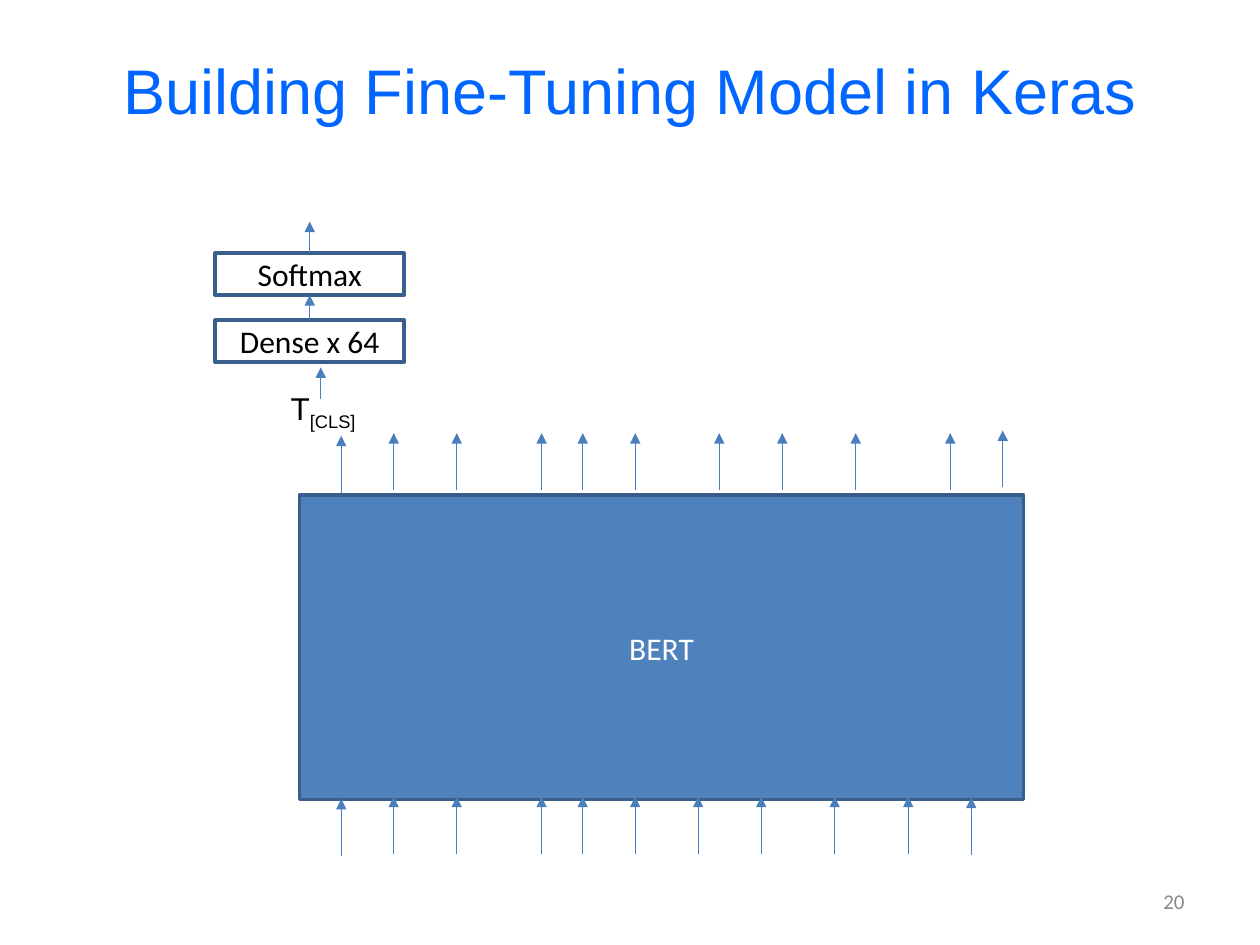
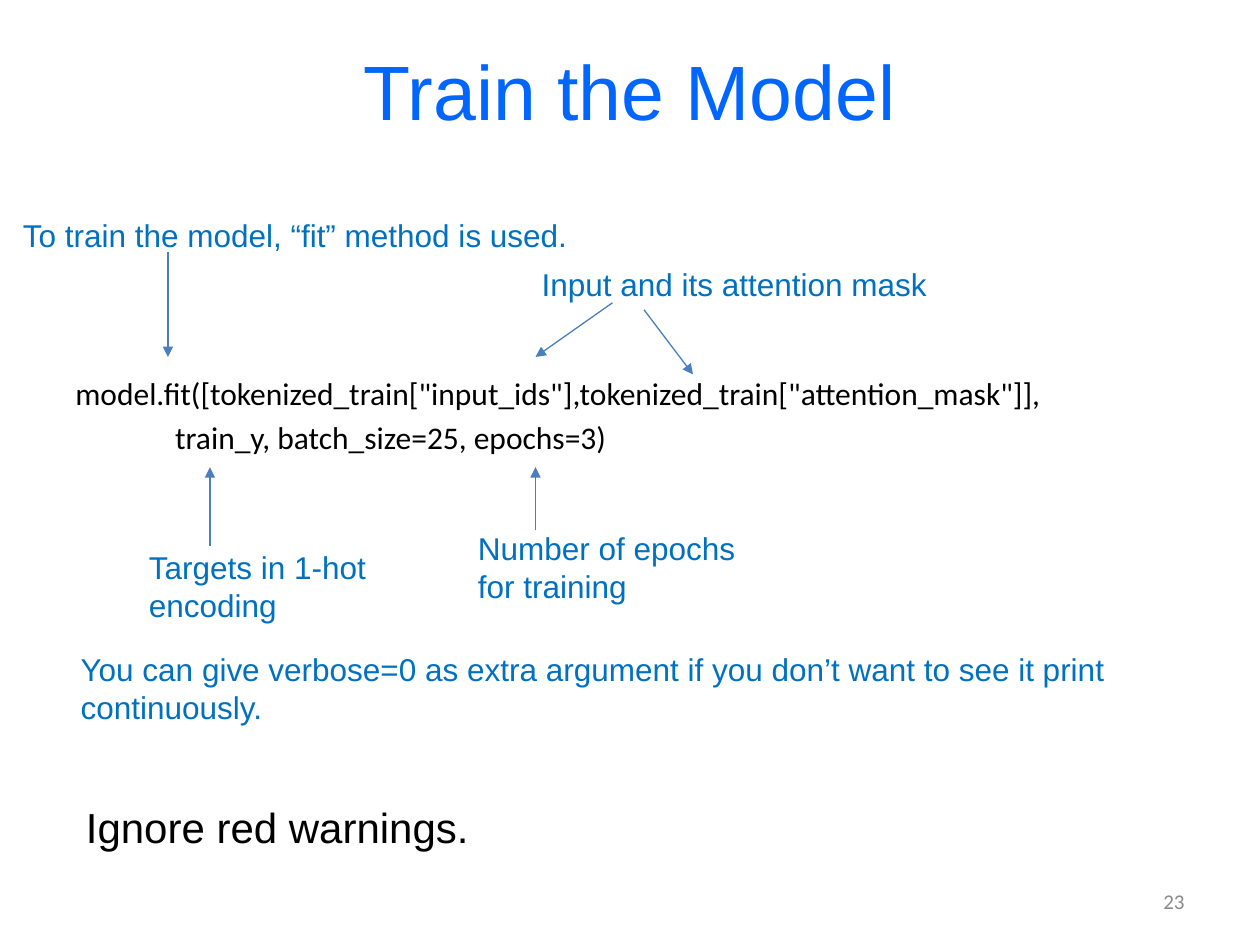
from typing import NamedTuple

from lxml import etree
from pptx import Presentation
from pptx.dml.color import RGBColor
from pptx.enum.shapes import MSO_CONNECTOR, MSO_SHAPE
from pptx.enum.text import MSO_ANCHOR, PP_ALIGN
from pptx.oxml.ns import qn
from pptx.util import Pt

STRAIGHT = MSO_CONNECTOR.STRAIGHT
RECTANGLE = MSO_SHAPE.RECTANGLE
TOP, MIDDLE = MSO_ANCHOR.TOP, MSO_ANCHOR.MIDDLE
LEFT, CENTER, RIGHT = PP_ALIGN.LEFT, PP_ALIGN.CENTER, PP_ALIGN.RIGHT
SIDE_TOP, SIDE_BOTTOM = 0, 2

TITLE_BLUE = "0066FF"
NOTE_BLUE = "0070C0"
ARROW_BLUE = "4B7EBC"
BOX_FILL = "4F81BD"
BOX_LINE = "3A5F8C"
NUMBER_GREY = "898989"
BLACK = "000000"
WHITE = "FFFFFF"
HEADING_FONT = "Arial"
BODY_FONT = "Calibri"


class Style(NamedTuple):
    size: float
    color: str
    font: str = HEADING_FONT
    align: PP_ALIGN = LEFT
    anchor: MSO_ANCHOR = TOP
    wrap: bool = True


class Label(NamedTuple):
    text: str
    left: float
    top: float
    width: float
    height: float
    style: Style


class Box(NamedTuple):
    text: str
    left: float
    top: float
    width: float
    height: float
    color: str
    fill: str | None = None


class Arrow(NamedTuple):
    x1: float
    y1: float
    x2: float
    y2: float


NOTE = Style(18, NOTE_BLUE, wrap=False)
NUMBER = Style(12, NUMBER_GREY, BODY_FONT, RIGHT, MIDDLE)
BOX_TEXT = Style(18, BLACK, BODY_FONT, CENTER, MIDDLE)
CODE = Style(18, BLACK, BODY_FONT)

SOFTMAX = Box("Softmax", 123, 144.7, 108, 24, BLACK)
DENSE = Box("Dense x 64", 123, 182.9, 108, 24, BLACK)
BERT = Box("BERT", 171, 283, 414, 174, WHITE, BOX_FILL)

SHARED_X = [225, 261, 309.5, 333, 363]
INPUT_X = SHARED_X + [399, 435, 477, 519]
OUTPUT_X = SHARED_X + [411, 447, 489, 543]
TOKEN_ARROWS = (
    [Arrow(195, 489, 195, 456.5)]
    + [Arrow(x, 488, x, 455.3) for x in INPUT_X]
    + [Arrow(555, 488.5, 555, 455.8)]
    + [Arrow(195, 281.5, 195, 249)]
    + [Arrow(x, 280.2, x, 247.5) for x in OUTPUT_X]
    + [Arrow(573, 278.5, 573, 246)]
)

TRAIN_LABELS = [
    Label("To train the model, “fit” method is used.", 6, 120, 328.3, 29, NOTE),
    Label("Input and its attention mask", 302.4, 147.8, 236.9, 29, NOTE),
    Label("Number of epochs\nfor training", 266, 298.8, 168, 51, NOTE),
    Label("Targets in 1-hot\nencoding", 78, 309.6, 139.7, 51, NOTE),
    Label("You can give verbose=0 as extra argument if you don’t want to see it print\n"
          "continuously.", 39, 367.9, 609, 51, NOTE),
    Label("Ignore red warnings.", 42, 454.3, 235.4, 36, Style(24, BLACK, wrap=False)),
]
TRAIN_ARROWS = [
    Arrow(96, 144, 96, 204),
    Arrow(120, 312, 120, 267),
    Arrow(306, 303, 306, 267),
    Arrow(350, 173, 306, 204),
    Arrow(368, 177, 396, 214),
]


def rgb(color: str) -> RGBColor:
    return RGBColor.from_string(color)


def style_text(sp, text: str, style: Style) -> None:
    tf = sp.text_frame
    tf.text = text
    tf.word_wrap = style.wrap
    tf.vertical_anchor = style.anchor
    for p in tf.paragraphs:
        p.alignment = style.align
        for r in p.runs:
            r.font.size = Pt(style.size)
            r.font.name = style.font
            r.font.color.rgb = rgb(style.color)


def add_label(s, label: Label):
    sp = s.shapes.add_textbox(Pt(label.left), Pt(label.top), Pt(label.width), Pt(label.height))
    style_text(sp, label.text, label.style)
    return sp


def add_box(s, box: Box):
    sp = s.shapes.add_shape(RECTANGLE, Pt(box.left), Pt(box.top), Pt(box.width), Pt(box.height))
    sp.shadow.inherit = False
    if box.fill:
        sp.fill.solid()
        sp.fill.fore_color.rgb = rgb(box.fill)
    else:
        sp.fill.background()
    sp.line.color.rgb = rgb(BOX_LINE)
    sp.line.width = Pt(2)
    style_text(sp, box.text, BOX_TEXT._replace(color=box.color))
    return sp


def add_arrow(s, arrow: Arrow):
    line = s.shapes.add_connector(STRAIGHT, *(Pt(v) for v in arrow))
    line.line.color.rgb = rgb(ARROW_BLUE)
    line.line.width = Pt(0.75)
    etree.SubElement(line.line._get_or_add_ln(), qn("a:tailEnd"), type="triangle")
    etree.SubElement(line._element.spPr, qn("a:effectLst"))
    return line


def add_slide(prs, title: str, title_size: float, number: int):
    s = prs.slides.add_slide(prs.slide_layouts[6])
    title_style = Style(title_size, TITLE_BLUE, align=CENTER, anchor=MIDDLE)
    add_label(s, Label(title, 36, 6, 648, 90, title_style))
    add_label(s, Label(str(number), 516, 500.5, 168, 28.8, NUMBER))
    return s


def build_model_slide(prs) -> None:
    s = add_slide(prs, "Building Fine-Tuning Model in Keras", 36, 20)
    dense, softmax = add_box(s, DENSE), add_box(s, SOFTMAX)
    add_box(s, BERT)

    x = SOFTMAX.left + SOFTMAX.width / 2
    result = add_arrow(s, Arrow(x, SOFTMAX.top, x, 126.7))
    result.begin_connect(softmax, SIDE_TOP)
    link = add_arrow(s, Arrow(x, DENSE.top, x, SOFTMAX.top + SOFTMAX.height))
    link.begin_connect(dense, SIDE_TOP)
    link.end_connect(softmax, SIDE_BOTTOM)
    add_arrow(s, Arrow(183.3, 228, 183.3, 210))
    for arrow in TOKEN_ARROWS:
        add_arrow(s, arrow)

    cls = add_label(s, Label("T", 159, 219, 456, 29, Style(18, BLACK)))
    r = cls.text_frame.paragraphs[0].add_run()
    r.text = "[CLS]"
    r.font.size = Pt(18)
    r.font.name = HEADING_FONT
    r.font.color.rgb = rgb(BLACK)
    r._r.get_or_add_rPr().set("baseline", "-25000")


def build_train_slide(prs) -> None:
    s = add_slide(prs, "Train the Model", 44, 23)
    code = add_label(s, Label(
        'model.fit([tokenized_train["input_ids"],tokenized_train["attention_mask"]],\n'
        "train_y, batch_size=25, epochs=3)", 36, 210.4, 648, 56, CODE))
    arguments = code.text_frame.paragraphs[1]
    arguments.space_before = Pt(3.6)
    arguments._p.get_or_add_pPr().set("marL", str(Pt(57)))
    for arrow in TRAIN_ARROWS:
        add_arrow(s, arrow)
    for label in TRAIN_LABELS:
        add_label(s, label)


def main() -> None:
    prs = Presentation()
    prs.slide_width, prs.slide_height = Pt(720), Pt(540)
    build_model_slide(prs)
    build_train_slide(prs)
    prs.save("out.pptx")


if __name__ == "__main__":
    main()
